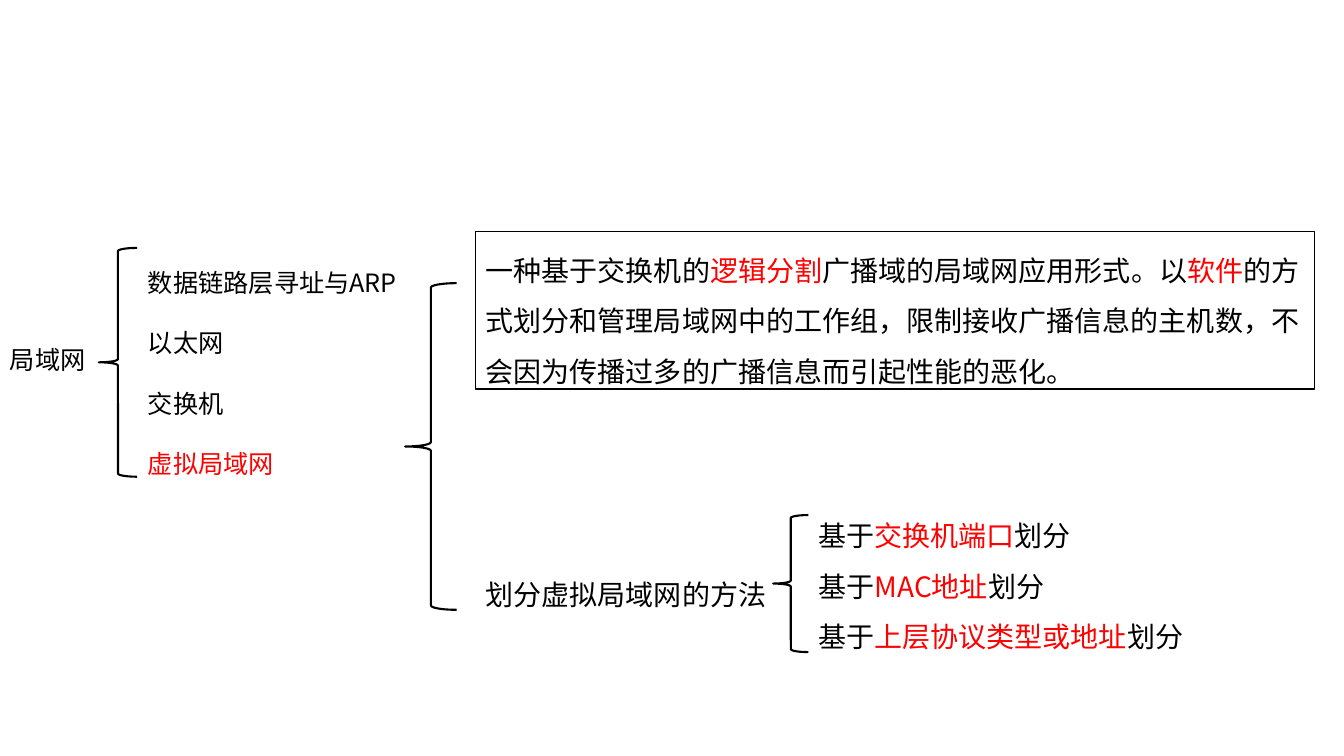
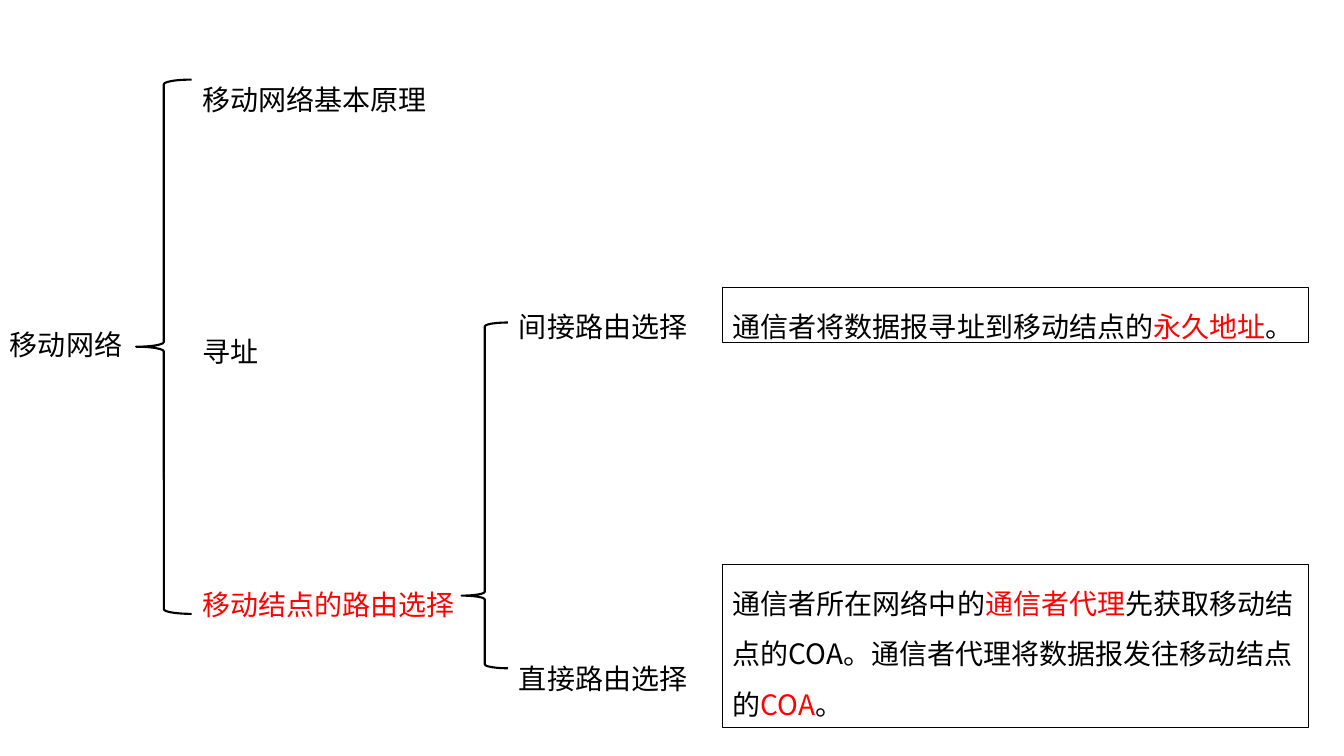
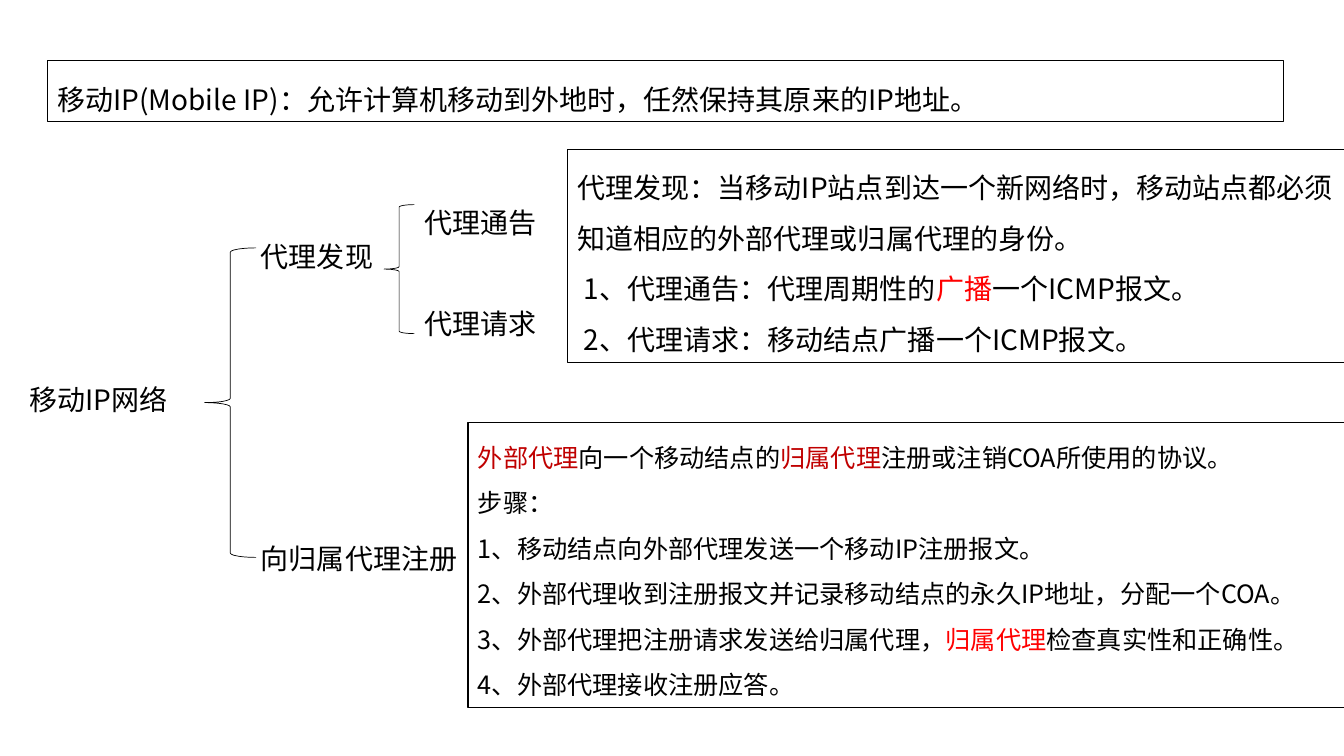
import dataclasses

import lxml.etree
import pptx
import pptx.dml.color
import pptx.enum.lang
import pptx.enum.shapes
import pptx.enum.text
import pptx.oxml.ns
import pptx.util

SLIDE_WIDTH = pptx.util.Inches(13.33)
SLIDE_HEIGHT = pptx.util.Inches(7.5)
COLUMN = SLIDE_WIDTH / 40
ROW = SLIDE_HEIGHT / 15
BLANK_LAYOUT = 6

BLACK = pptx.dml.color.RGBColor(0x00, 0x00, 0x00)
RED = pptx.dml.color.RGBColor(0xFF, 0x00, 0x00)
DARK_RED = pptx.dml.color.RGBColor(0xC0, 0x00, 0x00)
FONT = "Noto Sans CJK SC"
LINE_HEIGHT = 1.1


@dataclasses.dataclass
class Box:
    left: float
    top: float
    width: float
    height: float

    def lengths(self):
        return (
            round(self.left * COLUMN),
            round(self.top * ROW),
            round(self.width * COLUMN),
            round(self.height * ROW),
        )


def red(text):
    return text, RED


def dark_red(text):
    return text, DARK_RED


def write_paragraph(paragraph, runs, size, spacing, indent):
    paragraph.alignment = pptx.enum.text.PP_ALIGN.LEFT
    paragraph.line_spacing = spacing
    if indent:
        paragraph._p.get_or_add_pPr().set("marL", str(round(indent * COLUMN)))
    for item in runs:
        text, color = (item, BLACK) if isinstance(item, str) else item
        run = paragraph.add_run()
        run.text = text
        run.font.size = pptx.util.Pt(size)
        run.font.name = FONT
        run.font.color.rgb = color
        run.font.language_id = pptx.enum.lang.MSO_LANGUAGE_ID.SIMPLIFIED_CHINESE
        east_asian = lxml.etree.SubElement(run._r.rPr, pptx.oxml.ns.qn("a:ea"))
        east_asian.set("typeface", FONT)


def write_text(shape, paragraphs, size=20, spacing=1.5, indents=()):
    frame = shape.text_frame
    frame.word_wrap = True
    frame.vertical_anchor = pptx.enum.text.MSO_ANCHOR.TOP
    for index, runs in enumerate(paragraphs):
        paragraph = frame.add_paragraph() if index else frame.paragraphs[0]
        indent = indents[index] if indents else 0
        write_paragraph(paragraph, runs, size, spacing, indent)


def add_label(slide, box, runs, **text_format):
    write_text(slide.shapes.add_textbox(*box.lengths()), [runs], **text_format)


def add_outline(slide, kind, box, weight):
    shape = slide.shapes.add_shape(kind, *box.lengths())
    shape.shadow.inherit = False
    shape.fill.background()
    shape.line.color.rgb = BLACK
    shape.line.width = pptx.util.Pt(weight)
    return shape


def add_framed_text(slide, box, paragraphs, **text_format):
    shape = add_outline(slide, pptx.enum.shapes.MSO_SHAPE.RECTANGLE, box, 0.75)
    write_text(shape, paragraphs, **text_format)


def add_branch(slide, box, labels, first, step, width, gap=0, weight=1.5, tip=0.5, **text_format):
    brace = add_outline(slide, pptx.enum.shapes.MSO_SHAPE.LEFT_BRACE, box, weight)
    brace.adjustments[1] = tip
    left = box.left + box.width + gap
    for index, runs in enumerate(labels):
        label_box = Box(left, box.top + first + index * step, width, LINE_HEIGHT)
        add_label(slide, label_box, runs, **text_format)


def build_local_network(slide):
    add_label(slide, Box(0, 6.74, 4.1, 0.8), ["局域网"], size=18, spacing=1)
    add_branch(
        slide, Box(2.94, 4.92, 1.14, 4.54),
        [["数据链路层寻址与ARP"], ["以太网"], ["交换机"], [red("虚拟局域网")]],
        first=-0.32, step=1.2, width=13.4, gap=0.03, size=18, spacing=2,
    )
    add_branch(
        slide, Box(12.06, 5.62, 1.53, 6.48), [["划分虚拟局域网的方法"]],
        first=5.4, step=1, width=11.8, gap=0.57,
    )
    add_framed_text(slide, Box(14.16, 4.6, 24.97, 3.12), [[
        "一种基于交换机的", red("逻辑分割"), "广播域的局域网应用形式。以", red("软件"),
        "的方式划分和管理局域网中的工作组，限制接收广播信息的主机数，不会因为传播过多的广播信息而引起性能的恶化。",
    ]])
    methods = ["交换机端口", "MAC地址", "上层协议类型或地址"]
    add_branch(
        slide, Box(23.01, 10.22, 1.05, 2.72),
        [["基于", red(method), "划分"] for method in methods],
        first=-0.36, step=1, width=13.8,
    )


def build_mobile_network(slide):
    add_label(slide, Box(0, 6.4, 4.2, 0.88), ["移动网络"], spacing=1)
    add_branch(
        slide, Box(4.05, 1.58, 1.65, 10.6),
        [["移动网络基本原理"], ["寻址"], [red("移动结点的路由选择")]],
        first=-0.38, step=5.01, width=13.2, gap=0.03,
    )
    add_branch(
        slide, Box(13.74, 6.4, 1.38, 6.86), [["间接路由选择"], ["直接路由选择"]],
        first=-0.7, step=7, width=6, gap=0.03, tip=0.79,
    )
    add_framed_text(slide, Box(21.51, 5.7, 17.44, 1.1), [
        ["通信者将数据报寻址到移动结点的", red("永久地址"), "。"],
    ])
    add_framed_text(slide, Box(21.51, 11.2, 17.44, 3.24), [[
        "通信者所在网络中的", red("通信者代理"),
        "先获取移动结点的COA。通信者代理将数据报发往移动结点的", red("COA"), "。",
    ]])


def build_mobile_ip(slide):
    add_framed_text(slide, Box(1.41, 1.2, 36.79, 1.22), [
        ["移动IP(Mobile IP)：允许计算机移动到外地时，任然保持其原来的IP地址。"],
    ])
    add_label(slide, Box(0.57, 7.5, 5.52, 0.88), ["移动IP网络"], spacing=1)
    add_branch(
        slide, Box(6.09, 4.92, 1.53, 6.14), [["代理发现"], ["向归属代理注册"]],
        first=-0.6, step=6, width=7.9, gap=-0.15, weight=0.5,
    )
    add_branch(
        slide, Box(11.43, 4.06, 0.9, 2.56), [["代理通告"], ["代理请求"]],
        first=-0.42, step=2, width=4.5, weight=0.5,
    )
    add_framed_text(slide, Box(16.89, 2.96, 23.13, 4.24), [
        ["代理发现：当移动IP站点到达一个新网络时，移动站点都必须知道相应的外部代理或归属代理的身份。"],
        ["1、代理通告：代理周期性的", red("广播"), "一个ICMP报文。"],
        ["2、代理请求：移动结点广播一个ICMP报文。"],
    ], indents=(0, 0.19, 0.19))
    add_framed_text(slide, Box(13.93, 8.38, 26.08, 5.66), [
        [dark_red("外部代理"), "向一个移动结点的", dark_red("归属代理"), "注册或注销COA所使用的协议。"],
        ["步骤："],
        ["1、移动结点向外部代理发送一个移动IP注册报文。"],
        ["2、外部代理收到注册报文并记录移动结点的永久IP地址，分配一个COA。"],
        ["3、外部代理把注册请求发送给归属代理，", red("归属代理"), "检查真实性和正确性。"],
        ["4、外部代理接收注册应答。"],
    ], size=18)


def main():
    presentation = pptx.Presentation()
    presentation.slide_width = SLIDE_WIDTH
    presentation.slide_height = SLIDE_HEIGHT
    layout = presentation.slide_layouts[BLANK_LAYOUT]
    for build in (build_local_network, build_mobile_network, build_mobile_ip):
        build(presentation.slides.add_slide(layout))
    presentation.save("out.pptx")


if __name__ == "__main__":
    main()
